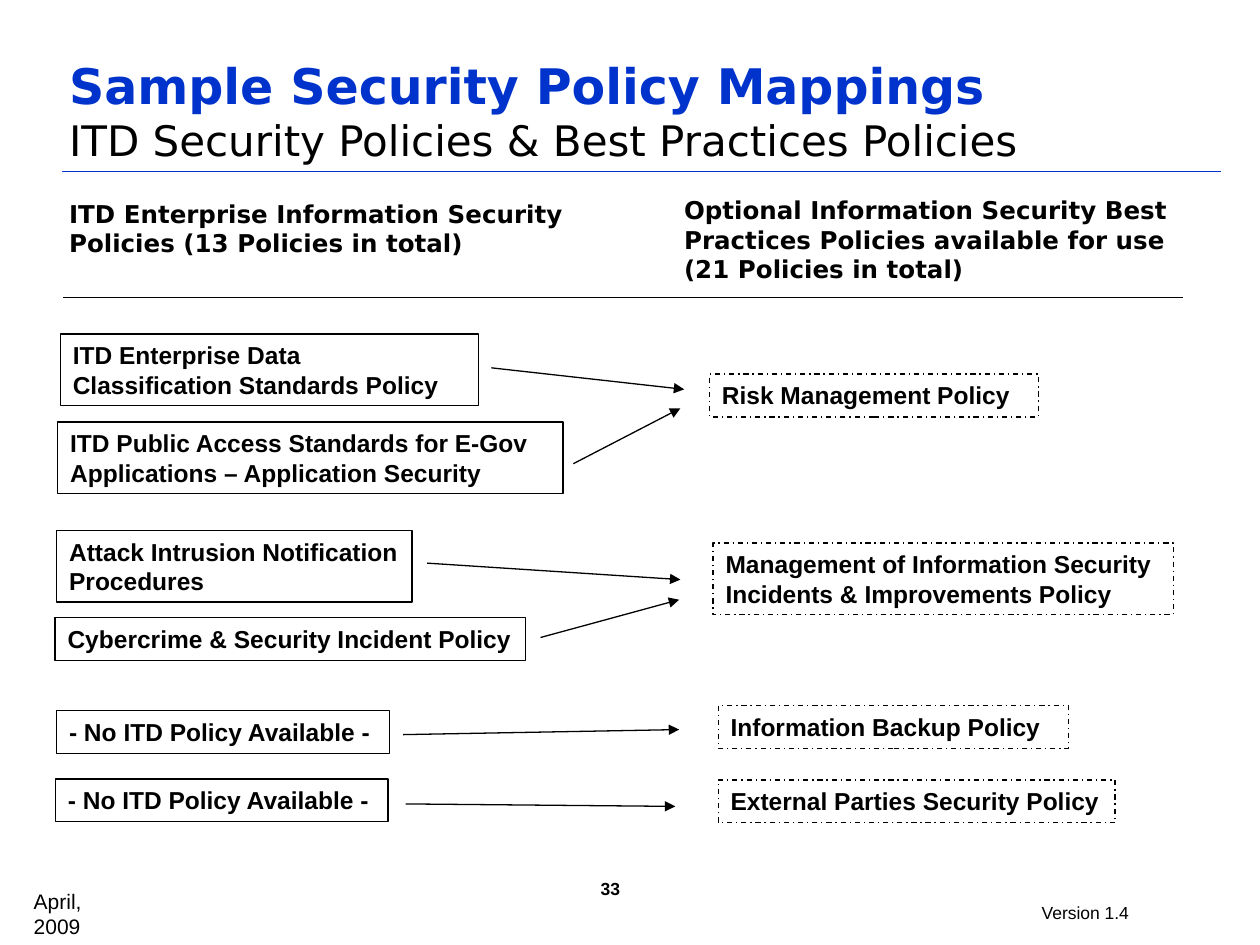
import pptx
import pptx.util
import pptx.dml.color
import pptx.enum.dml
import pptx.enum.shapes
import pptx.enum.text
import pptx.oxml
import pptx.oxml.ns

Pt = pptx.util.Pt
Anchor = pptx.enum.text.MSO_ANCHOR
Fit = pptx.enum.text.MSO_AUTO_SIZE
Dash = pptx.enum.dml.MSO_LINE


def color(code):
    return pptx.dml.color.RGBColor.from_string(code)


class Page:
    """Holds the style and the current slide, and draws each kind of element."""

    ink, blue = "000000", "0033CC"
    sans, head = "Arial", "DejaVu Sans"
    width = 0.75

    def __init__(self, slide):
        self.slide = slide

    def style(self, font, face, size, code, bold=False):
        font.name, font.size, font.bold = face, Pt(size), bold
        font.color.rgb = color(code)

    def text(self, place, words, size, face=sans, bold=False, wrap=True):
        box = self.slide.shapes.add_textbox(*map(Pt, place))
        frame = box.text_frame
        frame.word_wrap = wrap
        para = frame.paragraphs[0]
        para.text = words
        self.style(para.font, face, size, self.ink, bold)

    def title(self, place, main, sub):
        frame = self.slide.shapes.add_textbox(*map(Pt, place)).text_frame
        frame.word_wrap = True
        frame.vertical_anchor = Anchor.BOTTOM
        para = frame.paragraphs[0]
        run = para.add_run()
        run.text = main
        self.style(run.font, self.head, 28, self.blue, True)
        para.add_line_break()
        run = para.add_run()
        run.text = sub
        self.style(run.font, self.head, 24, self.ink)

    def box(self, place, words, dash=None):
        kind = pptx.enum.shapes.MSO_SHAPE.RECTANGLE
        box = self.slide.shapes.add_shape(kind, *map(Pt, place))
        box.shadow.inherit = False
        box.fill.background()
        box.line.color.rgb = color(self.ink)
        box.line.width = Pt(self.width)
        if dash:
            box.line.dash_style = dash
        frame = box.text_frame
        frame.word_wrap = True
        frame.auto_size = Fit.SHAPE_TO_FIT_TEXT
        frame.vertical_anchor = Anchor.TOP
        para = frame.paragraphs[0]
        para.text = words
        para.alignment = pptx.enum.text.PP_ALIGN.LEFT
        self.style(para.font, self.sans, 14, self.ink, True)

    def line(self, ends, code=ink, arrow=False):
        kind = pptx.enum.shapes.MSO_CONNECTOR.STRAIGHT
        link = self.slide.shapes.add_connector(kind, *map(Pt, ends))
        link.line.color.rgb = color(code)
        link.line.width = Pt(self.width)
        qn, make = pptx.oxml.ns.qn, pptx.oxml.xmlchemy.OxmlElement
        props = link._element.spPr
        if arrow:
            tip = make("a:tailEnd")
            tip.set("type", "triangle")
            props.find(qn("a:ln")).append(tip)
        props.append(make("a:effectLst"))


def main():
    deck = pptx.Presentation()
    deck.slide_width, deck.slide_height = Pt(720), Pt(540)
    page = Page(deck.slides.add_slide(deck.slide_layouts[6]))

    page.line((35.3, 97.9, 697.7, 97.9), page.blue)
    page.text((12.2, 504, 71.3, 21.6), "April, 2009", 12, wrap=False)
    page.text((588.2, 511.9, 64.8, 19.4), "Version 1.4", 10, wrap=False)
    page.text((336.2, 498.2, 41.8, 19.4), "33", 10, bold=True)
    page.title((32.4, 3.6, 609.1, 94.3), "Sample Security Policy Mappings",
               "ITD Security Policies & Best Practices Policies")

    heads = [
        ((32.4, 110.2, 302.4, 66.2),
         "ITD Enterprise Information Security Policies (13 Policies in total)"),
        ((383.8, 108, 311.8, 66.2),
         "Optional Information Security Best Practices Policies "
         "available for use (21 Policies in total)"),
    ]
    for place, words in heads:
        page.text(place, words, 14, page.head, True)
    page.line((36, 169.9, 676.1, 169.9))

    one, two = 24.5, 41
    none = "- No ITD Policy Available -"
    owned = [
        ((34.5, 190.9, 239, two),
         "ITD Enterprise Data Classification Standards Policy"),
        ((33, 241.2, 288.7, two),
         "ITD Public Access Standards for E-Gov Applications – "
         "Application Security"),
        ((32.4, 303.1, 203.1, two),
         "Attack Intrusion Notification Procedures"),
        ((31.5, 353, 268.7, one), "Cybercrime & Security Incident Policy"),
        ((32.4, 406.1, 190.1, one), none),
        ((31.7, 445.1, 190.1, one), none),
    ]
    for place, words in owned:
        page.box(place, words)

    best = [
        ((405.4, 213.8, 187.9, one), "Risk Management Policy"),
        ((407.5, 310.3, 262.9, two),
         "Management of Information Security Incidents & "
         "Improvements Policy"),
        ((410.4, 403.2, 200.2, one), "Information Backup Policy"),
        ((410.4, 445.7, 226.8, one), "External Parties Security Policy"),
    ]
    for place, words in best:
        page.box(place, words, Dash.DASH_DOT)

    links = [
        (280.8, 210.2, 391, 222.5),
        (327.6, 265, 388.8, 233.3),
        (244.1, 321.8, 388.8, 331.2),
        (308.9, 364.3, 388.1, 342.7),
        (230.4, 419.8, 388.1, 416.9),
        (231.8, 459.4, 385.9, 460.8),
    ]
    for ends in links:
        page.line(ends, arrow=True)

    deck.save("out.pptx")


if __name__ == "__main__":
    main()
